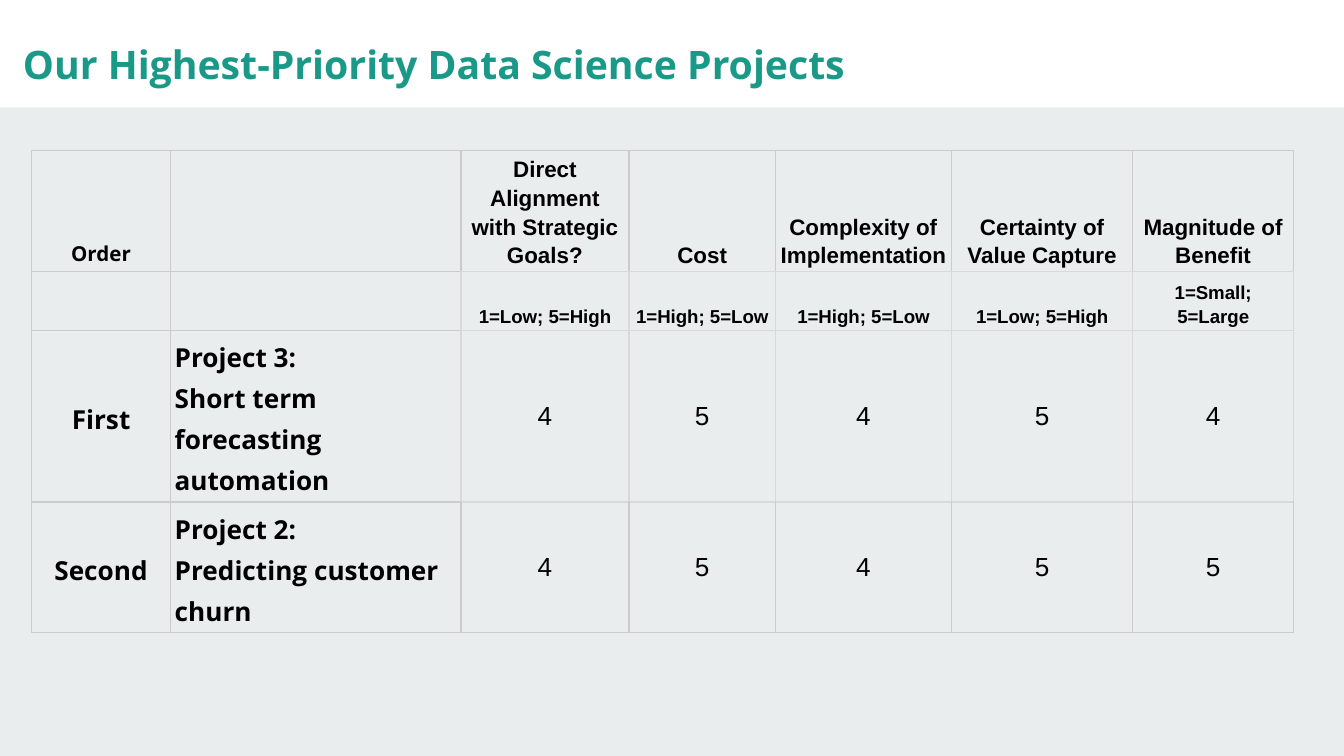
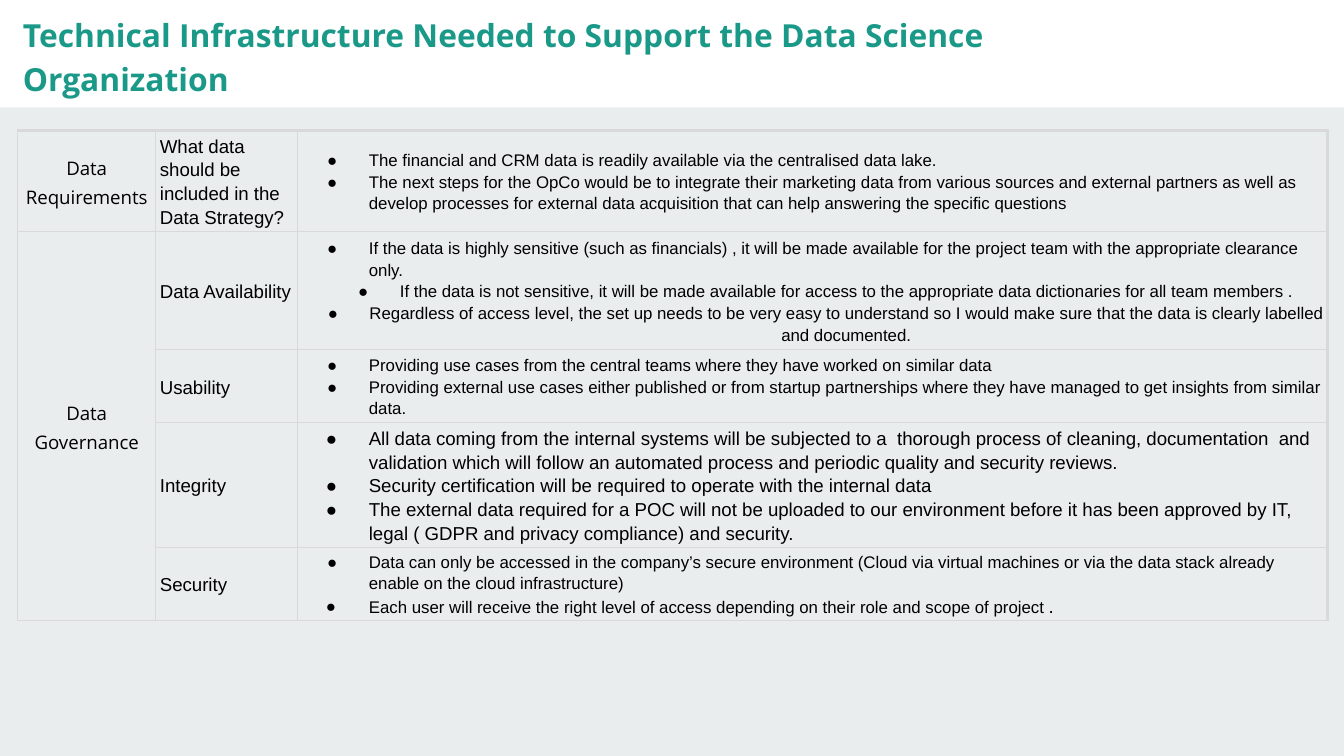
from dataclasses import dataclass

from lxml.etree import SubElement
from pptx import Presentation
from pptx.dml.color import RGBColor
from pptx.enum.shapes import MSO_SHAPE
from pptx.enum.text import MSO_ANCHOR, MSO_AUTO_SIZE, PP_ALIGN
from pptx.oxml import parse_xml
from pptx.oxml.ns import nsdecls, qn
from pptx.util import Pt

PX = 4572
TEAL = RGBColor(0x1A, 0x99, 0x88)
PALE = RGBColor(0xE9, 0xED, 0xEE)
WHITE = RGBColor(0xFF, 0xFF, 0xFF)
BLACK = RGBColor(0x00, 0x00, 0x00)
GRID = RGBColor(0xCC, 0xCC, 0xCC)
SOFT_GRID = RGBColor(0xD9, 0xD9, 0xD9)
HEAD_FONT = "Open Sans"
BODY_FONT = "Arial"
LEFT, CENTER = PP_ALIGN.LEFT, PP_ALIGN.CENTER
MIDDLE, BOTTOM = MSO_ANCHOR.MIDDLE, MSO_ANCHOR.BOTTOM

CRITERIA = [
    ("Direct Alignment with Strategic Goals?", "1=Low; 5=High"),
    ("Cost", "1=High; 5=Low"),
    ("Complexity of Implementation", "1=High; 5=Low"),
    ("Certainty of Value Capture", "1=Low; 5=High"),
    ("Magnitude of Benefit", "1=Small; 5=Large"),
]
PROJECTS = [
    ("First", ["Project 3:", "Short term forecasting automation"], [4, 5, 4, 5, 4]),
    ("Second", ["Project 2:", "Predicting customer churn"], [4, 5, 4, 5, 5]),
]


@dataclass
class Bullet:
    text: str
    size: int = 9
    align: PP_ALIGN = LEFT
    tail: str = ""


INFRASTRUCTURE = [
    ("What data should be included in the Data Strategy?", [
        Bullet("The financial and CRM data is readily available via the centralised data lake."),
        Bullet("The next steps for the OpCo would be to integrate their marketing data from "
               "various sources and external partners as well as develop processes for external "
               "data acquisition that can help answering the specific questions"),
    ]),
    ("Data Availability", [
        Bullet("If the data is highly sensitive (such as financials) , it will be made available "
               "for the project team with the appropriate clearance only."),
        Bullet("If the data is not sensitive, it will be made available for access to the "
               "appropriate data dictionaries for all team members .", align=CENTER),
        Bullet("Regardless of access level, the set up needs to be very easy to understand so I "
               "would make sure that the data is clearly labelled and documented.", align=CENTER),
    ]),
    ("Usability", [
        Bullet("Providing use cases from the central teams where they have worked on similar data"),
        Bullet("Providing external use cases either published or from startup partnerships where "
               "they have managed to get insights from similar data."),
    ]),
    ("Integrity", [
        Bullet("All data coming from the internal systems will be subjected to a  thorough process "
               "of cleaning, documentation  and validation which will follow an automated process "
               "and periodic quality and security reviews.", 10),
        Bullet("Security certification will be required to operate with the internal data", 10),
        Bullet("The external data required for a POC will not be uploaded to our environment "
               "before it has been approved by IT, legal ( GDPR and privacy compliance) and "
               "security.", 10),
    ]),
    ("Security", [
        Bullet("Data can only be accessed in the company’s secure environment (Cloud via virtual "
               "machines or via the data stack already enable on the cloud infrastructure)"),
        Bullet("Each user will receive the right level of access depending on their role and "
               "scope of project ", tail="."),
    ]),
]


def set_all(obj, values):
    for name, value in values.items():
        setattr(obj, name, value)


def add_run(p, text, size, font=BODY_FONT, bold=False, color=BLACK):
    r = p.add_run()
    r.text = text
    set_all(r.font, {"size": Pt(size), "name": font, "bold": bold})
    r.font.color.rgb = color


def style_layout(prs, layout, s):
    layout.background.fill.solid()
    layout.background.fill.fore_color.rgb = PALE
    band = s.shapes.add_shape(MSO_SHAPE.RECTANGLE, 0, 0, prs.slide_width, 160 * PX)
    band.shadow.inherit = False
    band.fill.solid()
    band.fill.fore_color.rgb = WHITE
    band.line.fill.background()
    layout.shapes.element.insert(2, band.element)


def add_title(s, text, top, size):
    title = s.shapes.title
    set_all(title, {"left": 14 * PX, "top": top * PX, "width": 1688 * PX, "height": 74 * PX})
    tf = title.text_frame
    set_all(tf, {"word_wrap": True, "auto_size": MSO_AUTO_SIZE.NONE,
                 "vertical_anchor": MSO_ANCHOR.TOP})
    set_all(tf, {f"margin_{side}": 20 * PX for side in ("left", "top", "right", "bottom")})
    p = tf.paragraphs[0]
    set_all(p, {"alignment": LEFT, "line_spacing": 1.15})
    add_run(p, text, size, HEAD_FONT, True, TEAL)


def add_table(s, left, top, cols, rows):
    frame = s.shapes.add_table(len(rows), len(cols), left * PX, top * PX,
                               sum(cols) * PX, sum(rows) * PX)
    table = frame.table
    set_all(table, {"first_row": False, "horz_banding": False})
    for column, width in zip(table.columns, cols):
        column.width = width * PX
    for row, height in zip(table.rows, rows):
        row.height = height * PX
    return table


def draw_grid(table, edge):
    for i, row in enumerate(table.rows):
        for j, cell in enumerate(row.cells):
            cell.fill.background()
            tcPr = cell._tc.get_or_add_tcPr()
            for k, side in enumerate("LRTB"):
                color, width = edge(i, j, side)
                tcPr.insert(k, parse_xml(
                    f'<a:ln{side} {nsdecls("a")} w="{Pt(width)}"><a:solidFill>'
                    f'<a:srgbClr val="{color}"/></a:solidFill></a:ln{side}>'))


def format_cell(cell, anchor=MIDDLE, pad=4):
    set_all(cell, {"vertical_anchor": anchor, "margin_left": 6 * PX, "margin_right": 6 * PX,
                   "margin_top": pad * PX, "margin_bottom": pad * PX})
    return cell.text_frame


def next_paragraph(tf, index, align, spacing=1.15):
    p = tf.add_paragraph() if index else tf.paragraphs[0]
    set_all(p, {"alignment": align, "line_spacing": spacing})
    return p


def write_cell(cell, lines, size, font=BODY_FONT, bold=False, align=CENTER,
               anchor=MIDDLE, pad=4, spacing=1.15):
    tf = format_cell(cell, anchor, pad)
    for i, line in enumerate(lines):
        add_run(next_paragraph(tf, i, align, spacing), line, size, font, bold)


def write_bullets(cell, bullets):
    tf = format_cell(cell)
    for i, bullet in enumerate(bullets):
        p = next_paragraph(tf, i, bullet.align)
        hang = 64 if bullet.size == 10 or bullet.tail else 62
        pPr = p._p.get_or_add_pPr()
        pPr.set("marL", str(100 * PX))
        pPr.set("indent", str(-hang * PX))
        SubElement(SubElement(pPr, qn("a:buClr")), qn("a:srgbClr")).set("val", str(BLACK))
        SubElement(pPr, qn("a:buFont")).set("typeface", BODY_FONT)
        SubElement(pPr, qn("a:buChar")).set("char", "●")
        add_run(p, bullet.text, bullet.size)
        if bullet.tail:
            add_run(p, bullet.tail, 10)


def priority_edge(row, col, side):
    inner = row in (1, 2)
    soft = (col >= 2 and (inner or (row, side) in ((0, "B"), (3, "T")))
            or (inner and col == 1 and side == "R"))
    return (SOFT_GRID if soft else GRID), 0.75


def infrastructure_edge(row, col, side):
    outer = (row == 0 and side == "T") or (col >= 2 and side == "R")
    return SOFT_GRID, 2.25 if outer else 0.75


def add_priorities(s):
    add_title(s, "Our Highest-Priority Data Science Projects", 30, 21)
    table = add_table(s, 47, 224, [207, 432, 250, 218, 262, 270, 239], [68, 88, 88, 88])
    draw_grid(table, priority_edge)
    write_cell(table.cell(0, 0), ["Order"], 11, HEAD_FONT, True, anchor=BOTTOM, pad=6)
    for col, (name, scale) in enumerate(CRITERIA, 2):
        write_cell(table.cell(0, col), [name], 12, bold=True, anchor=BOTTOM)
        write_cell(table.cell(1, col), [scale], 10, bold=True, anchor=BOTTOM)
    for row, (order, project, scores) in enumerate(PROJECTS, 2):
        write_cell(table.cell(row, 0), [order], 14, HEAD_FONT, True, pad=6)
        write_cell(table.cell(row, 1), project, 14, HEAD_FONT, True, LEFT, pad=6)
        for col, score in enumerate(scores, 2):
            write_cell(table.cell(row, col), [str(score)], 14, pad=6, spacing=1.0)


def add_infrastructure(s):
    add_title(s, "Technical Infrastructure Needed to Support the Data Science Organization", -5, 17)
    table = add_table(s, 26, 194, [206, 211, 472] + [194] * 5 + [91], [140, 176, 108, 82, 78])
    draw_grid(table, infrastructure_edge)
    table.cell(1, 0).merge(table.cell(4, 0))
    for row, area in enumerate(["Data Requirements", "Data Governance"]):
        write_cell(table.cell(row, 0), [area], 10, HEAD_FONT)
    for row, (topic, bullets) in enumerate(INFRASTRUCTURE):
        table.cell(row, 2).merge(table.cell(row, 8))
        write_cell(table.cell(row, 1), [topic], 10, align=LEFT)
        write_bullets(table.cell(row, 2), bullets)


def main():
    prs = Presentation()
    set_all(prs, {"slide_width": 2000 * PX, "slide_height": 1125 * PX})
    layout = prs.slide_layouts[5]
    priorities = prs.slides.add_slide(layout)
    style_layout(prs, layout, priorities)
    add_priorities(priorities)
    add_infrastructure(prs.slides.add_slide(layout))
    prs.save("out.pptx")


if __name__ == "__main__":
    main()
